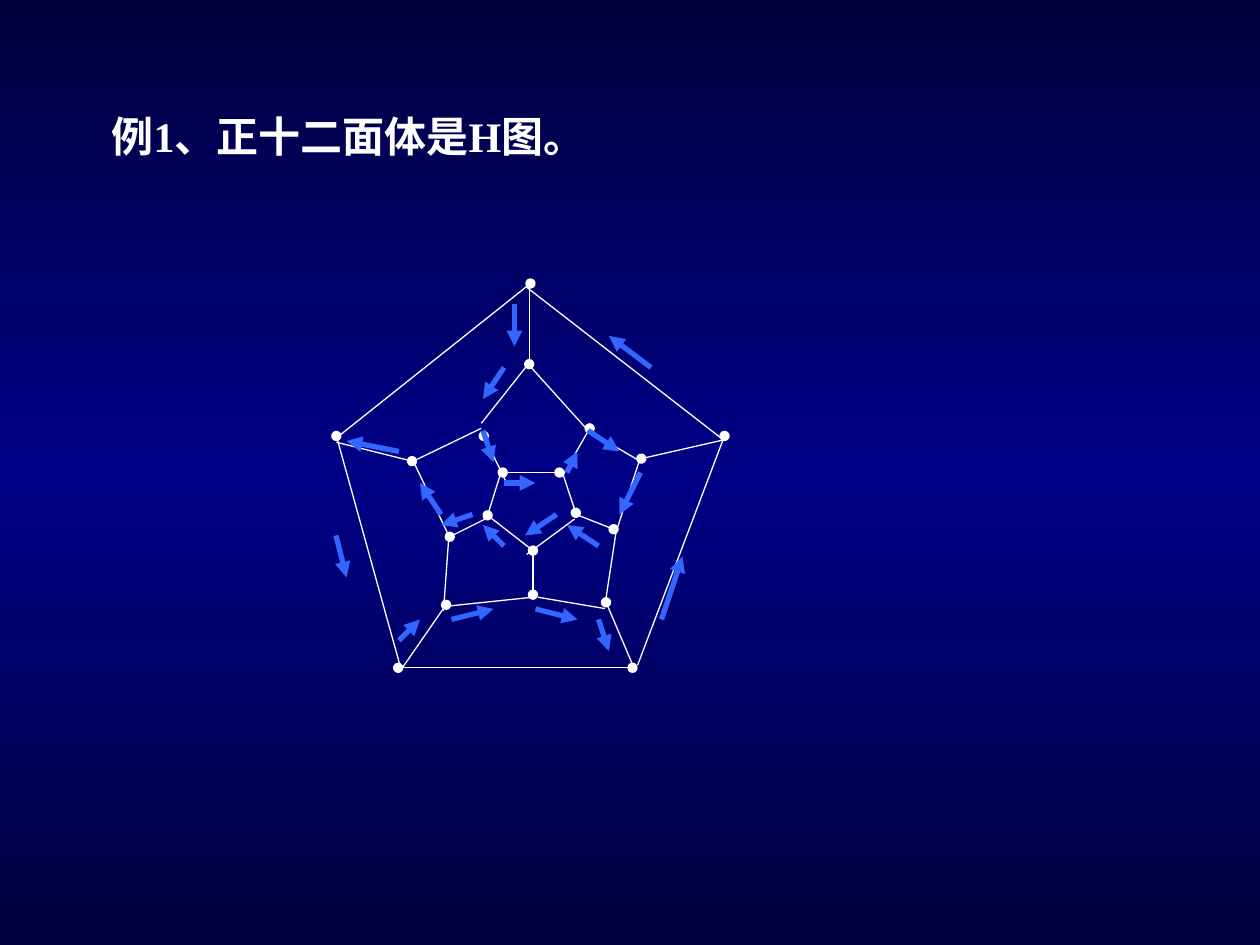
from copy import deepcopy

from pptx import Presentation
from pptx.dml.color import RGBColor
from pptx.enum.shapes import MSO_CONNECTOR
from pptx.enum.text import MSO_AUTO_SIZE
from pptx.oxml.ns import qn
from pptx.oxml.xmlchemy import OxmlElement
from pptx.util import Cm, Pt

LINE = MSO_CONNECTOR.STRAIGHT
FIT = MSO_AUTO_SIZE.SHAPE_TO_FIT_TEXT
WHITE = RGBColor(0xFF, 0xFF, 0xFF)
BLUE = RGBColor(0x33, 0x66, 0xFF)
DARK = RGBColor(0x00, 0x00, 0x3E)
NAVY = RGBColor(0x00, 0x00, 0x86)

INCH = 2.54         # edges are measured in inches
STEP = INCH / 12    # the path arrows sit on a grid of twelfths

TITLE = "例1、正十二面体是H图。"
FONT = {"name": "Times New Roman", "size": Pt(24), "bold": True}

# Edges of the graph: x1, y1, x2, y2
BOTH = [  # a vertex dot at both ends
    (5.02, 5.3, 3.16, 5.3), (4.44, 3.75, 3.99, 3.75),
]
FIRST = [  # a vertex dot at the first end
    (4.21, 2.25, 2.69, 3.46), (2.67, 3.46, 3.18, 5.3),
    (3.54, 4.8, 3.18, 5.32), (5.75, 3.46, 5.06, 5.28),
    (4.81, 4.78, 5.04, 5.32), (3.27, 3.66, 2.67, 3.51),
    (5.09, 3.64, 5.75, 3.49), (4.2, 2.89, 4.2, 2.25),
    (3.87, 4.09, 3.97, 3.77), (4.57, 4.07, 4.47, 3.77),
    (4.23, 4.37, 3.87, 4.09), (3.84, 3.46, 4.02, 3.83),
    (4.68, 3.4, 4.47, 3.77), (3.57, 4.26, 3.87, 4.11),
    (4.87, 4.2, 4.59, 4.09), (4.23, 4.72, 4.23, 4.39),
]
PLAIN = [
    (4.18, 2.28, 5.74, 3.49), (4.56, 4.12, 4.18, 4.4),
    (4.2, 2.88, 3.82, 3.36), (4.21, 2.91, 4.67, 3.42),
    (4.67, 3.42, 5.08, 3.66), (5.08, 3.64, 4.89, 4.22),
    (4.27, 4.74, 4.8, 4.83), (4.89, 4.22, 4.8, 4.81),
    (3.56, 4.29, 3.52, 4.85), (3.56, 4.81, 4.23, 4.74),
    (3.28, 3.66, 3.82, 3.4), (3.28, 3.66, 3.58, 4.29),
]
# Arrows along the Hamilton cycle, in grid steps
CYCLE = [
    (32, 51, 33, 55), (38, 61, 40, 59), (43, 59, 47, 58), (51, 58, 55, 59),
    (57, 59, 58, 62), (63, 59, 65, 53), (62, 35, 58, 32), (49, 29, 49, 33),
    (48, 35, 46, 38), (46, 41, 47, 44), (48, 46, 51, 46), (54, 45, 55, 43),
    (56, 41, 59, 43), (61, 45, 59, 49), (57, 52, 54, 50), (53, 49, 50, 51),
    (48, 52, 46, 50), (45, 49, 42, 50), (42, 49, 40, 46), (38, 43, 33, 42),
]
EDGES = [(BOTH, {"head": "oval", "tail": "oval"}),
         (FIRST, {"head": "oval"}), (PLAIN, {})]


def draw(shapes, ends, unit, color, width, tips):
    """Add one line; tips maps head (start) and tail (end) to a tip type."""
    link = shapes.add_connector(LINE, *(Cm(v * unit) for v in ends))
    link.line.color.rgb = color
    link.line.width = Pt(width)
    props = link._element.spPr
    for end, kind in tips.items():
        tip = OxmlElement(f"a:{end}End")
        tip.set("type", kind)
        props.find(qn("a:ln")).append(tip)
    props.append(OxmlElement("a:effectLst"))


def paint(slide):
    """Fill the background with a vertical three-stop gradient."""
    fill = slide.background.fill
    fill.gradient()
    fill.gradient_angle = 90
    stops = slide.element.find(".//" + qn("a:gsLst"))
    stops.append(deepcopy(stops[0]))
    for stop, pos, color in zip(fill.gradient_stops, (0, 0.5, 1),
                                (DARK, NAVY, DARK)):
        stop.position = pos
        stop.color.rgb = color


def add_title(slide):
    box = slide.shapes.add_textbox(Cm(1.27), Cm(2.11), Cm(20.75), Cm(1.27))
    frame = box.text_frame
    frame.word_wrap = True
    frame.auto_size = FIT
    para = frame.paragraphs[0]
    para._p.get_or_add_pPr().set("marL", str(Cm(0.73)))
    run = para.add_run()
    run.text = TITLE
    for key, value in FONT.items():
        setattr(run.font, key, value)
    run.font.color.rgb = WHITE


def main():
    deck = Presentation()
    deck.slide_width, deck.slide_height = Cm(25.4), Cm(19.05)
    slide = deck.slides.add_slide(deck.slide_layouts[6])
    paint(slide)
    add_title(slide)
    graph = slide.shapes.add_group_shape()
    for edges, tips in EDGES:
        for edge in edges:
            draw(graph.shapes, edge, INCH, WHITE, 0.75, tips)
    for arrow in CYCLE:
        draw(slide.shapes, arrow, STEP, BLUE, 3, {"tail": "triangle"})
    deck.save("out.pptx")


if __name__ == "__main__":
    main()
